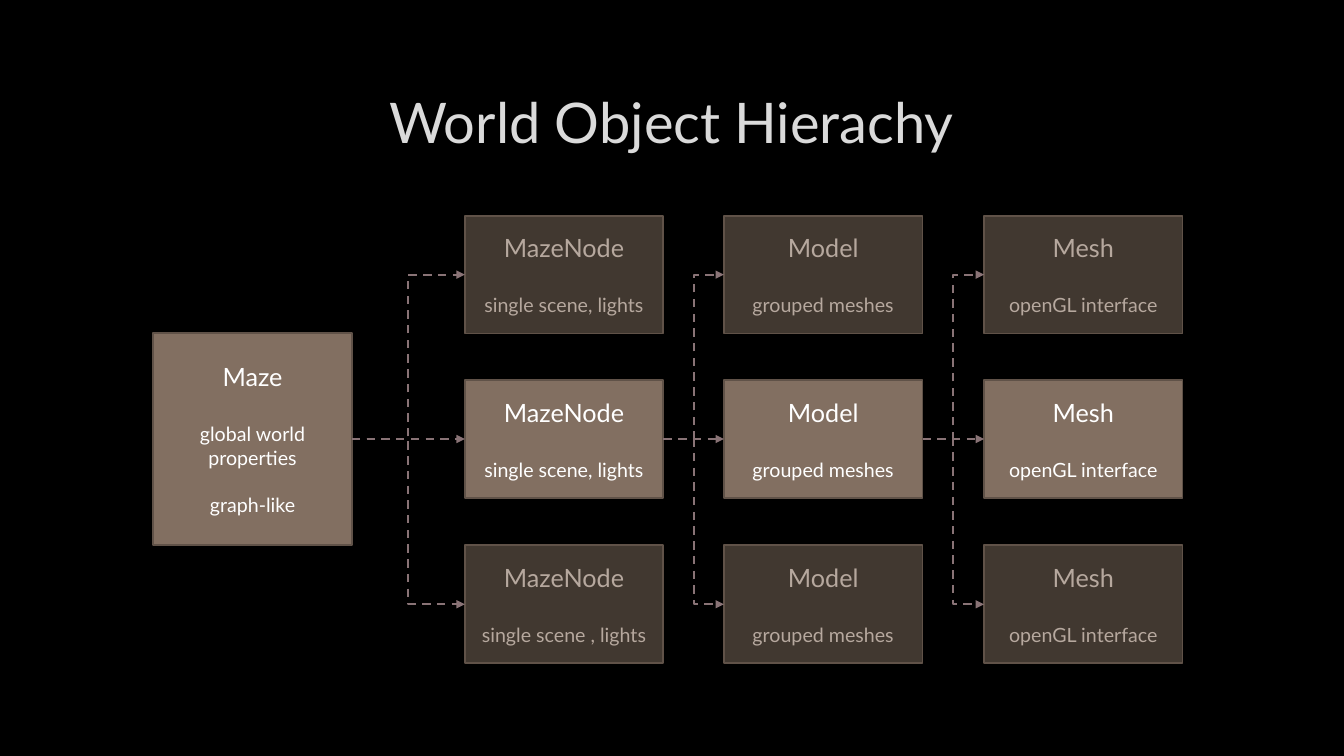
from lxml.etree import SubElement
from pptx import Presentation
from pptx.dml.color import RGBColor
from pptx.enum.dml import MSO_LINE
from pptx.enum.shapes import MSO_CONNECTOR as Connector, MSO_SHAPE as Shape
from pptx.enum.text import MSO_ANCHOR as Anchor, MSO_AUTO_SIZE as AutoSize, PP_ALIGN as Align
from pptx.oxml.ns import qn
from pptx.util import Inches, Pt

FONT = "Lato"
BRIGHT = ("826F61", "FFFFFF")
DIM = ("413830", "B6A89E")
BOX_WIDTH, BOX_HEIGHT = 1.97, 1.17
ROWS = [(2.14, DIM), (3.77, BRIGHT), (5.41, DIM)]
MIDDLE_ROW = 1
LEFT_SITE, RIGHT_SITE = 1, 3
COLUMNS = [
    (4.61, "MazeNode", ["single scene, lights", "single scene, lights", "single scene , lights"]),
    (7.18, "Model", ["grouped meshes"] * 3),
    (9.76, "Mesh", ["openGL interface"] * 3),
]


def color(value):
    return RGBColor.from_string(value)


def style_paragraph(para, text, size, ink, gap=0):
    para.text = text
    para.alignment = Align.CENTER
    para.space_before = Pt(gap)
    para.font.name = FONT
    para.font.size = Pt(size)
    para.font.color.rgb = color(ink)


def add_title(slide, text):
    title = slide.shapes.title
    title.left, title.top = Inches(1), Inches(0.67)
    title.width, title.height = Inches(11.32), Inches(1.06)
    frame = title.text_frame
    frame.auto_size = AutoSize.NONE
    frame.vertical_anchor = Anchor.MIDDLE
    style_paragraph(frame.paragraphs[0], text, 40, "DADADA")


def add_box(slide, left, top, height, scheme, heading, details):
    fill, ink = scheme
    box = slide.shapes.add_shape(
        Shape.RECTANGLE, Inches(left), Inches(top), Inches(BOX_WIDTH), Inches(height))
    box.shadow.inherit = False
    box.fill.solid()
    box.fill.fore_color.rgb = color(fill)
    box.line.color.rgb = color("605248")
    box.line.width = Pt(1.25)
    frame = box.text_frame
    frame.word_wrap = True
    frame.vertical_anchor = Anchor.MIDDLE
    style_paragraph(frame.paragraphs[0], heading, 18, ink)
    for index, detail in enumerate(details):
        gap = 17 if index else 21.6
        style_paragraph(frame.add_paragraph(), detail, 14, ink, gap)
    return box


def add_arrow(slide, parent, child):
    arrow = slide.shapes.add_connector(Connector.ELBOW, 0, 0, 0, 0)
    arrow.begin_connect(parent, RIGHT_SITE)
    arrow.end_connect(child, LEFT_SITE)
    arrow.line.color.rgb = color("897376")
    arrow.line.width = Pt(1.5)
    arrow.line.dash_style = MSO_LINE.DASH
    properties = arrow.element.spPr
    SubElement(properties.find(qn("a:ln")), qn("a:tailEnd"), type="triangle")
    SubElement(properties, qn("a:effectLst"))


def main():
    deck = Presentation()
    deck.slide_width, deck.slide_height = Inches(13.33), Inches(7.5)
    slide = deck.slides.add_slide(deck.slide_layouts[5])
    slide.background.fill.solid()
    slide.background.fill.fore_color.rgb = color("000000")
    add_title(slide, "World Object Hierachy")

    maze = add_box(slide, 1.52, 3.3, 2.11, BRIGHT, "Maze",
                   ["global world properties", "graph-like"])
    levels = [
        [add_box(slide, left, top, BOX_HEIGHT, scheme, heading, [detail])
         for (top, scheme), detail in zip(ROWS, details)]
        for left, heading, details in COLUMNS
    ]
    parents = [maze] + [level[MIDDLE_ROW] for level in levels]
    for parent, children in zip(parents, levels):
        for child in children:
            add_arrow(slide, parent, child)

    deck.save("out.pptx")


if __name__ == "__main__":
    main()
